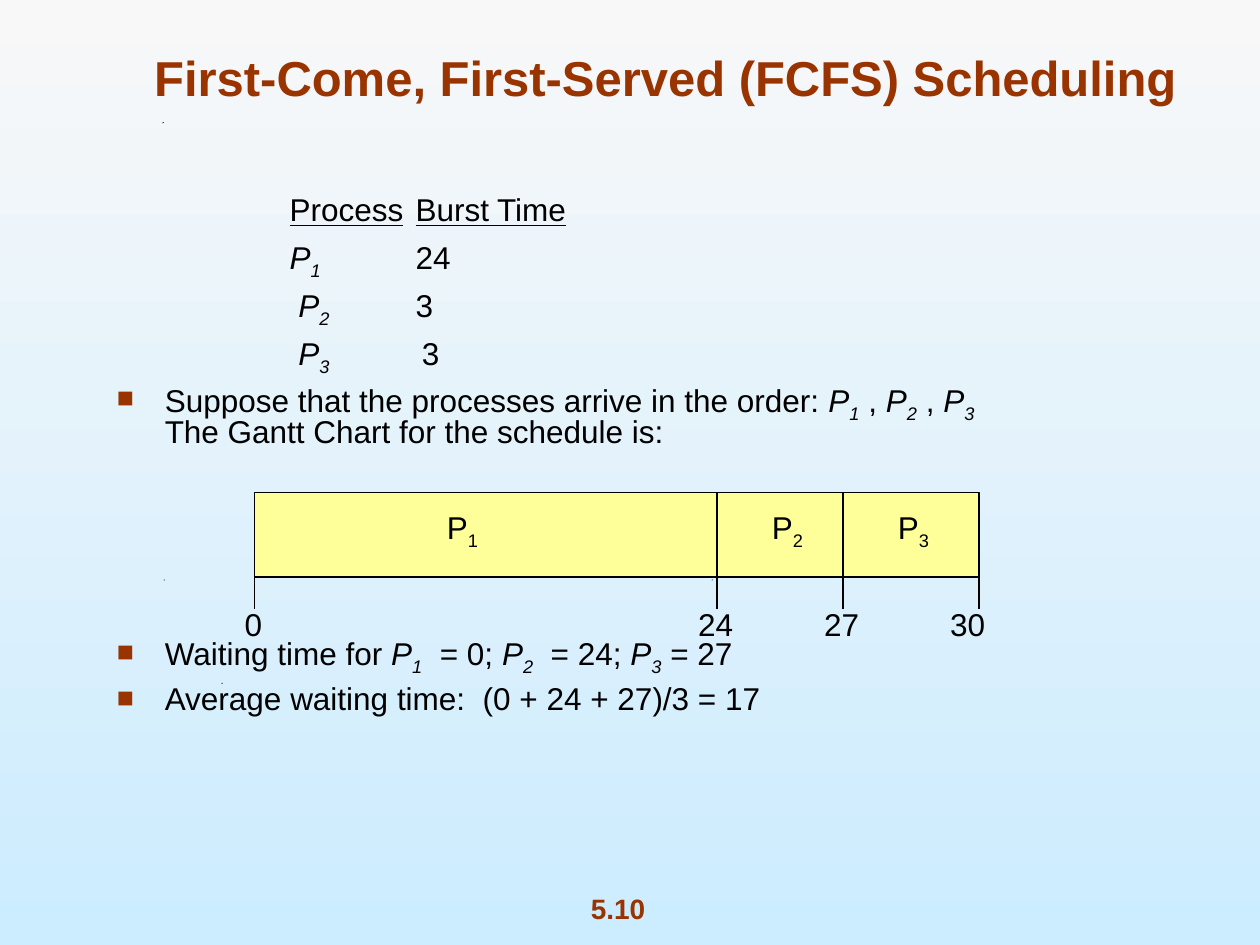
from dataclasses import dataclass

import lxml.etree
import pptx
import pptx.dml.color
import pptx.enum.shapes
import pptx.enum.text
import pptx.oxml.ns
import pptx.util

Inches = pptx.util.Inches
Pt = pptx.util.Pt
Align = pptx.enum.text.PP_ALIGN
Anchor = pptx.enum.text.MSO_ANCHOR

COLORS = {
    "heading": "993300",
    "text": "000000",
    "bar": "FFFF99",
    "sky_top": "F8F8F8",
    "sky_bottom": "CCECFF",
}
FONT = "Arial"
LINE_BREAK = "\n"


@dataclass
class Run:
    text: str
    italic: bool = False
    subscript: bool = False
    underline: bool = False


@dataclass
class Line:
    runs: list[Run]
    margin: float = 0
    indent: float = 0
    space_before: float = 0
    spacing: float = 1.0
    bullet: bool = False


@dataclass
class Segment:
    number: str
    label_center: float


@dataclass
class Tick:
    time: str
    x: float
    label_center: float
    divides_bar: bool


def rgb(name: str) -> pptx.dml.color.RGBColor:
    return pptx.dml.color.RGBColor.from_string(COLORS[name])


def process_name(number: str, italic: bool = True) -> list[Run]:
    return [Run("P", italic), Run(number, italic, subscript=True)]


def add_bullet(paragraph) -> None:
    properties = paragraph._p.get_or_add_pPr()
    color = lxml.etree.SubElement(properties, pptx.oxml.ns.qn("a:buClr"))
    lxml.etree.SubElement(color, pptx.oxml.ns.qn("a:srgbClr")).set("val", COLORS["heading"])
    lxml.etree.SubElement(properties, pptx.oxml.ns.qn("a:buSzPct")).set("val", "90000")
    lxml.etree.SubElement(properties, pptx.oxml.ns.qn("a:buFont")).set("typeface", FONT)
    lxml.etree.SubElement(properties, pptx.oxml.ns.qn("a:buChar")).set("char", "■")


def add_text(slide, lines: list[Line], left: float, top: float, width: float, height: float, *,
             size: float = 18, color: str = "text", bold: bool = False, wrap: bool = False,
             align=Align.CENTER, anchor=Anchor.MIDDLE) -> None:
    shape = slide.shapes.add_textbox(Inches(left), Inches(top), Inches(width), Inches(height))
    frame = shape.text_frame
    frame.word_wrap = wrap
    frame.vertical_anchor = anchor
    for index, line in enumerate(lines):
        paragraph = frame.paragraphs[0] if index == 0 else frame.add_paragraph()
        paragraph.alignment = align
        paragraph.line_spacing = line.spacing
        paragraph.space_before = Pt(line.space_before)
        properties = paragraph._p.get_or_add_pPr()
        properties.set("marL", str(Inches(line.margin)))
        properties.set("indent", str(Inches(line.indent)))
        if line.bullet:
            add_bullet(paragraph)
        for part in line.runs:
            if part.text == LINE_BREAK:
                paragraph.add_line_break()
                continue
            run = paragraph.add_run()
            run.text = part.text
            run.font.name = FONT
            run.font.size = Pt(size)
            run.font.bold = bold
            run.font.italic = part.italic
            run.font.underline = part.underline
            run.font.color.rgb = rgb(color)
            if part.subscript:
                run._r.get_or_add_rPr().set("baseline", "-25000")


def add_label(slide, runs: list[Run], center: float, top: float, width: float, height: float) -> None:
    add_text(slide, [Line(runs)], center - width / 2, top, width, height)


def add_vertical_line(slide, x: float, top: float, bottom: float) -> None:
    connector = slide.shapes.add_connector(
        pptx.enum.shapes.MSO_CONNECTOR.STRAIGHT, Inches(x), Inches(top), Inches(x), Inches(bottom))
    connector.line.color.rgb = rgb("text")
    connector.line.width = Pt(0.75)
    lxml.etree.SubElement(connector._element.spPr, pptx.oxml.ns.qn("a:effectLst"))


def add_speck(slide, x: float, y: float) -> None:
    builder = slide.shapes.build_freeform(Inches(x), Inches(y + 0.01))
    builder.add_line_segments([(Inches(x + 0.01), Inches(y)), (Inches(x), Inches(y))], close=True)
    shape = builder.convert_to_shape()
    shape.shadow.inherit = False
    shape.fill.solid()
    shape.fill.fore_color.rgb = rgb("text")
    shape.line.fill.background()


def table_row(runs: list[Run], start: float = 1.37, value_at: float = 2.37,
              space_before: float = 7.9) -> Line:
    """The hanging indent makes the tab land on the burst time column."""
    return Line(runs, value_at, start - value_at, space_before, 0.8)


def bullet_line(runs: list[Run], space_before: float) -> Line:
    return Line(runs, 0.38, -0.38, space_before, 0.8, bullet=True)


def add_body(slide) -> None:
    p1, p2, p3 = (process_name(number) for number in "123")
    lines = [
        table_row([Run("Process", underline=True), Run("\t"), Run("Burst Time", underline=True)],
                  space_before=0),
        table_row([*p1, Run("\t24")]),
        table_row([*p2, Run("\t3")], start=1.44),
        table_row([*p3, Run("\t3")], start=1.44, value_at=2.42),
        bullet_line([Run("Suppose that the processes arrive in the order: "),
                     *p1, Run(" , "), *p2, Run(" , "), *p3, Run(LINE_BREAK),
                     Run("The Gantt Chart for the schedule is:")], 7),
        # The large space leaves room for the Gantt chart
        bullet_line([Run("Waiting time for "), *p1, Run("  = 0; "), *p2, Run("  = 24; "),
                     *p3, Run(" = 27")], 108),
        bullet_line([Run("Average waiting time:  (0 + 24 + 27)/3 = 17")], 7.9),
    ]
    add_text(slide, lines, 0.83, 1.52, 8.27, 4.5, wrap=True, align=Align.LEFT, anchor=Anchor.TOP)


def add_gantt_chart(slide) -> None:
    left, right, top, bottom, tick_end = 2.02, 7.77, 3.91, 4.58, 4.83
    bar = slide.shapes.add_shape(pptx.enum.shapes.MSO_SHAPE.RECTANGLE, Inches(left), Inches(top),
                                 Inches(right - left), Inches(bottom - top))
    bar.shadow.inherit = False
    bar.fill.solid()
    bar.fill.fore_color.rgb = rgb("bar")
    bar.line.color.rgb = rgb("text")
    bar.line.width = Pt(0.75)

    for segment in (Segment("1", 3.67), Segment("2", 6.25), Segment("3", 7.25)):
        add_label(slide, process_name(segment.number, italic=False),
                  segment.label_center, 3.98, 0.45, 0.44)

    ticks = [Tick("0", left, 2.01, False), Tick("24", 5.69, 5.68, True),
             Tick("27", 6.69, 6.68, True), Tick("30", right, 7.68, False)]
    for tick in ticks:
        if tick.divides_bar:
            add_vertical_line(slide, tick.x, top, bottom)
        add_vertical_line(slide, tick.x, bottom, tick_end)
        add_label(slide, [Run(tick.time)], tick.label_center, 4.75, 0.48, 0.4)


def main() -> None:
    presentation = pptx.Presentation()
    presentation.slide_width = Inches(10)
    presentation.slide_height = Inches(7.5)
    slide = presentation.slides.add_slide(presentation.slide_layouts[6])

    # Background, top to bottom
    background = slide.background.fill
    background.gradient()
    background.gradient_angle = 270
    for stop, name in zip(background.gradient_stops, ("sky_top", "sky_bottom")):
        stop.color.rgb = rgb(name)

    # Page number and small specks
    add_text(slide, [Line([Run("5.10")])], 4.18, 7.03, 1.45, 0.37,
             size=16, color="heading", bold=True, anchor=Anchor.TOP)
    for x, y in ((1.76, 5.42), (1.3, 4.6), (5.65, 4.6), (1.29, 0.97)):
        add_speck(slide, x, y)

    # Title, text and chart
    add_text(slide, [Line([Run("First-Come, First-Served (FCFS) Scheduling")])],
             0.72, 0.39, 9.12, 0.5, size=28, color="heading", bold=True, wrap=True,
             anchor=Anchor.BOTTOM)
    add_body(slide)
    add_gantt_chart(slide)

    presentation.save("out.pptx")


if __name__ == "__main__":
    main()
